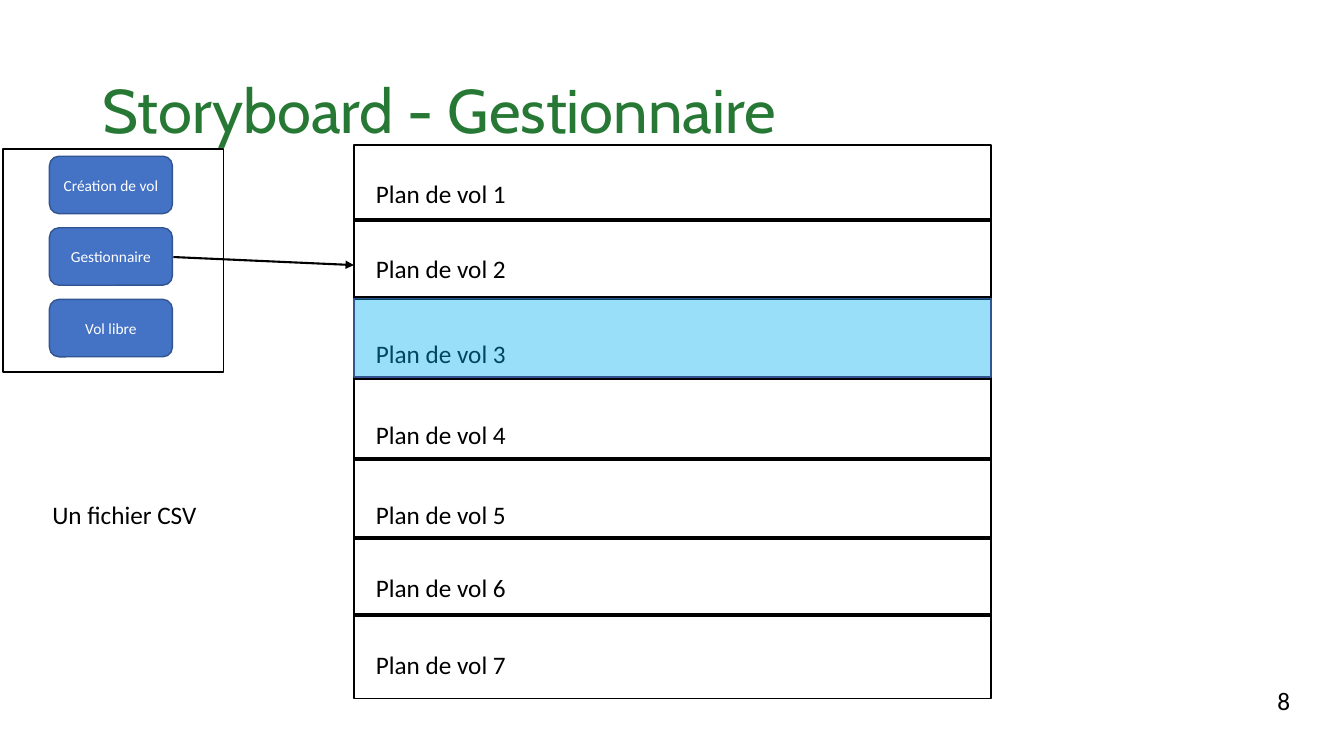
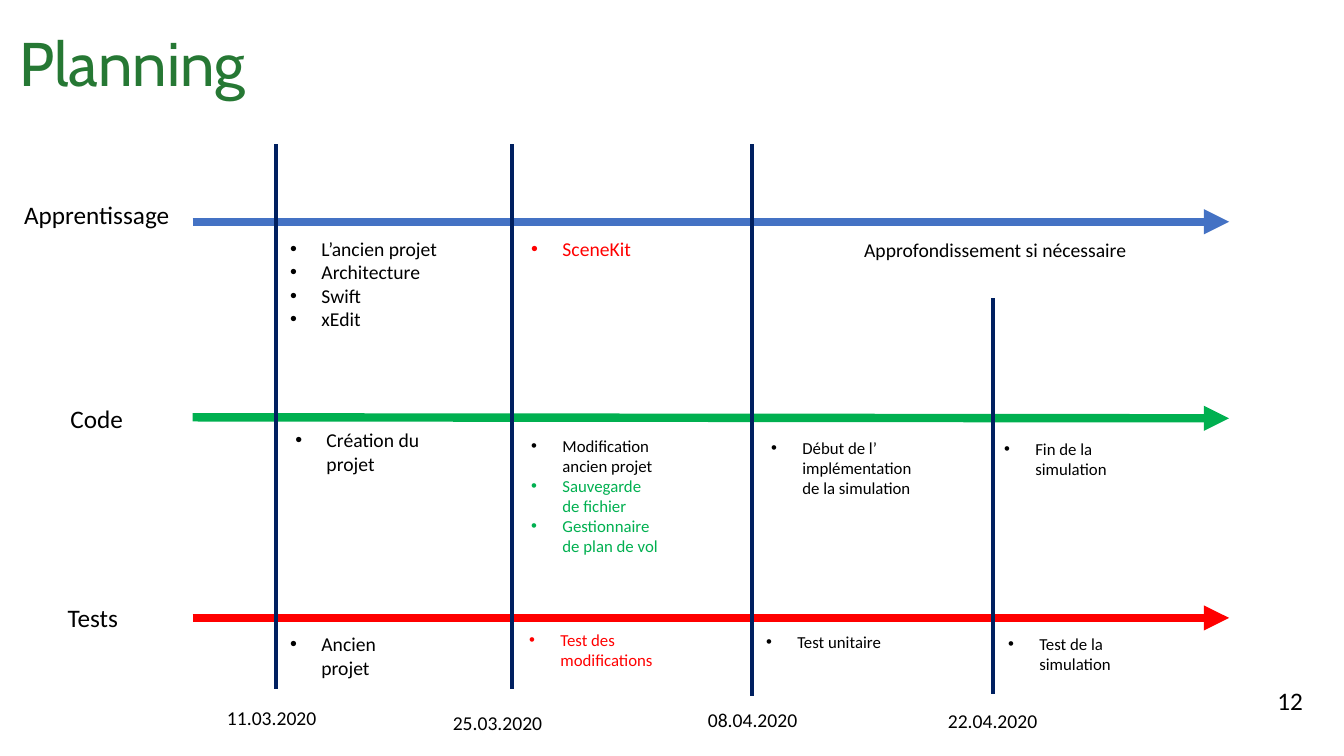
from dataclasses import dataclass
from typing import Optional

from lxml.etree import SubElement as Sub
from pptx import Presentation
from pptx.dml.color import RGBColor as Rgb
from pptx.enum.shapes import MSO_CONNECTOR as Conn, MSO_SHAPE as Geo
from pptx.enum.text import MSO_ANCHOR as Anchor, MSO_AUTO_SIZE as Fit, PP_ALIGN as Align
from pptx.oxml.ns import qn
from pptx.util import Inches, Pt

COLORS = {
    "title": "267834", "black": "000000", "white": "FFFFFF", "blue": "4472C4",
    "edge": "325491", "sky": "00B0F0", "green": "00B050", "red": "FF0000",
    "navy": "002060",
}
HEAD, BODY = "Cabin", "Calibri"


@dataclass
class Track:
    """One arrow of the planning with its label."""
    name: str
    color: str
    start: float
    end: float
    left: float
    top: float


@dataclass
class Stage:
    """One date line of the planning."""
    date: str
    x: float
    top: float
    end: float
    left: float
    base: float


@dataclass
class Note:
    """A bullet list as (text, colour) items."""
    left: float
    top: float
    width: float
    height: float
    size: int
    items: list[tuple[str, str]]


def tint(name: str) -> Rgb:
    """Return the named colour."""
    return Rgb.from_string(COLORS[name])


def style(para, size: float, color: str, font: str = BODY) -> None:
    """Format every run of a paragraph."""
    for run in para.runs:
        run.font.size = Pt(size)
        run.font.name = font
        run.font.color.rgb = tint(color)


def add_text(slide, text: str, left: float, top: float, width: float,
             height: float = 0.4, size: float = 18, align=Align.LEFT, wrap: bool = True):
    """Add a black text box that grows with its text."""
    box = slide.shapes.add_textbox(*map(Inches, (left, top, width, height)))
    frame = box.text_frame
    frame.word_wrap = wrap
    frame.auto_size = Fit.SHAPE_TO_FIT_TEXT
    frame.text = text
    for para in frame.paragraphs:
        para.alignment = align
        style(para, size, "black")
    return box


def add_note(slide, note: Note) -> None:
    """Add a bullet list with a hanging indent."""
    text = "\n".join(item for item, _ in note.items)
    box = add_text(slide, text, note.left, note.top, note.width, note.height, note.size)
    for para, (_, color) in zip(box.text_frame.paragraphs, note.items):
        style(para, note.size, color)
        props = para._p.get_or_add_pPr()
        props.set("marL", str(Inches(0.31)))
        props.set("indent", str(Inches(-0.31)))
        Sub(props, qn("a:buFont"), typeface="Arial")
        Sub(props, qn("a:buChar"), char="•")


def add_box(slide, geo, left: float, top: float, width: float, height: float,
            fill: Optional[str] = None, edge: str = "black", alpha: int = 100):
    """Add an outlined shape, with an optional fill and opacity."""
    box = slide.shapes.add_shape(geo, *map(Inches, (left, top, width, height)))
    box.shadow.inherit = False
    box.line.color.rgb = tint(edge)
    box.line.width = Pt(1)
    if fill is None:
        box.fill.background()
        return box
    box.fill.solid()
    box.fill.fore_color.rgb = tint(fill)
    if alpha < 100:
        color = box._element.spPr.find(qn("a:solidFill"))[0]
        Sub(color, qn("a:alpha"), val=str(alpha * 1000))
    return box


def add_line(slide, x1: float, y1: float, x2: float, y2: float,
             width: float = 3, color: str = "black", arrow: bool = False) -> None:
    """Add a straight line, with an arrowhead on request."""
    line = slide.shapes.add_connector(Conn.STRAIGHT, *map(Inches, (x1, y1, x2, y2)))
    line.line.color.rgb = tint(color)
    line.line.width = Pt(width)
    if arrow:
        Sub(line.line._get_or_add_ln(), qn("a:tailEnd"), type="triangle")
    Sub(line._element.spPr, qn("a:effectLst"))


def add_slide(deck, title: str, left: float, top: float, number: str, width: float):
    """Add a slide with the shared title style and page number."""
    slide = deck.slides.add_slide(deck.slide_layouts[5])
    head = slide.shapes.title
    head.left, head.top, head.width, head.height = map(Inches, (left, top, 11.5, 1.45))
    frame = head.text_frame
    frame.text = title
    frame.word_wrap = True
    frame.auto_size = Fit.NONE
    frame.vertical_anchor = Anchor.MIDDLE
    para = frame.paragraphs[0]
    para.alignment = Align.LEFT
    para.line_spacing = 0.9
    style(para, 44, "title", HEAD)
    add_text(slide, number, 12.57, 6.75, width, wrap=False)
    return slide


def add_story(deck) -> None:
    """Build the storyboard slide."""
    slide = add_slide(deck, "Storyboard - Gestionnaire", 0.92, 0.4, "8", 0.33)
    add_box(slide, Geo.RECTANGLE, 0.03, 1.48, 2.19, 2.21)
    for row, name in enumerate(("Création de vol ", "Gestionnaire", "Vol libre")):
        key = add_box(slide, Geo.ROUNDED_RECTANGLE, 0.49, 1.55 + row * 0.71,
                      1.22, 0.57, "blue", "edge")
        key.text_frame.text = name
        key.text_frame.vertical_anchor = Anchor.MIDDLE
        para = key.text_frame.paragraphs[0]
        para.alignment = Align.CENTER
        style(para, 11, "white")

    left, width = 3.51, 6.32
    add_box(slide, Geo.RECTANGLE, left, 1.44, width, 5.49)
    add_line(slide, 1.72, 2.55, left, 2.63, 1.5, arrow=True)
    for y in (2.18, 2.96, 3.75, 4.55, 5.34, 6.1):
        add_line(slide, left, y, left + width, y)
    for plan, top in enumerate((1.72, 2.46, 3.31, 4.11, 4.9, 5.63, 6.39), 1):
        add_text(slide, f"Plan de vol {plan}", 3.63, top, 1.76)
    add_box(slide, Geo.RECTANGLE, left, 2.96, width, 0.78, "sky", "edge", 40)
    add_text(slide, "Un fichier CSV", 0.42, 4.9, 1.79)


TRACKS = [
    Track("Apprentissage", "blue", 2.2, 2.2, 0.13, 1.93),
    Track("Code", "green", 4.14, 4.15, 0.13, 3.95),
    Track("Tests", "red", 6.13, 6.13, 0.09, 5.93),
]
STAGES = [
    Stage("11.03.2020", 2.74, 1.43, 6.84, 1.79, 6.95),
    Stage("25.03.2020", 5.08, 1.43, 6.84, 4.03, 7),
    Stage("08.04.2020", 7.46, 1.43, 6.9, 6.56, 6.97),
    Stage("22.04.2020", 9.85, 2.96, 6.89, 8.94, 6.98),
]
NOTES = [
    Note(2.78, 2.3, 1.72, 1.04, 14, [("L’ancien projet", "black"), ("Architecture", "black"),
                                     ("Swift", "black"), ("xEdit", "black")]),
    Note(2.83, 4.2, 1.48, 0.81, 14, [("Création du projet", "black")]),
    Note(2.78, 6.22, 1.53, 0.57, 14, [("Ancien projet", "black")]),
    Note(5.17, 2.3, 1.72, 0.34, 14, [("SceneKit", "red")]),
    Note(5.17, 4.27, 1.48, 1.51, 12, [("Modification ancien projet", "black"),
                                      ("Sauvegarde de fichier", "green"),
                                      ("Gestionnaire de plan de vol", "green")]),
    Note(5.15, 6.2, 1.53, 0.5, 12, [("Test des modifications ", "red")]),
    Note(7.55, 4.29, 1.77, 0.91, 12, [("Début de l’ implémentation de la simulation", "black")]),
    Note(7.5, 6.22, 1.53, 0.3, 12, [("Test unitaire", "black")]),
    Note(9.86, 4.3, 1.77, 0.91, 12, [("Fin de la simulation", "black")]),
    Note(9.9, 6.24, 1.53, 0.5, 12, [("Test de la simulation", "black")]),
]


def add_plan(deck) -> None:
    """Build the planning slide."""
    slide = add_slide(deck, "Planning", 0.09, -0.06, "12", 0.46)
    for track in TRACKS:
        add_line(slide, 1.91, track.start, 12.19, track.end, 6, track.color, True)
        add_text(slide, track.name, track.left, track.top, 1.66, align=Align.CENTER)
    for stage in STAGES:
        add_line(slide, stage.x, stage.top, stage.x, stage.end, color="navy")
        add_text(slide, stage.date, stage.left, stage.base, 1.81, 0.34, 14, Align.CENTER)
    add_text(slide, " Approfondissement si nécessaire", 7.42, 2.31, 4.86, 0.34,
             14, Align.CENTER)
    for note in NOTES:
        add_note(slide, note)


def main() -> None:
    """Build and save the deck."""
    deck = Presentation()
    deck.slide_width, deck.slide_height = Inches(13.33), Inches(7.5)
    add_story(deck)
    add_plan(deck)
    deck.save("out.pptx")


main()
